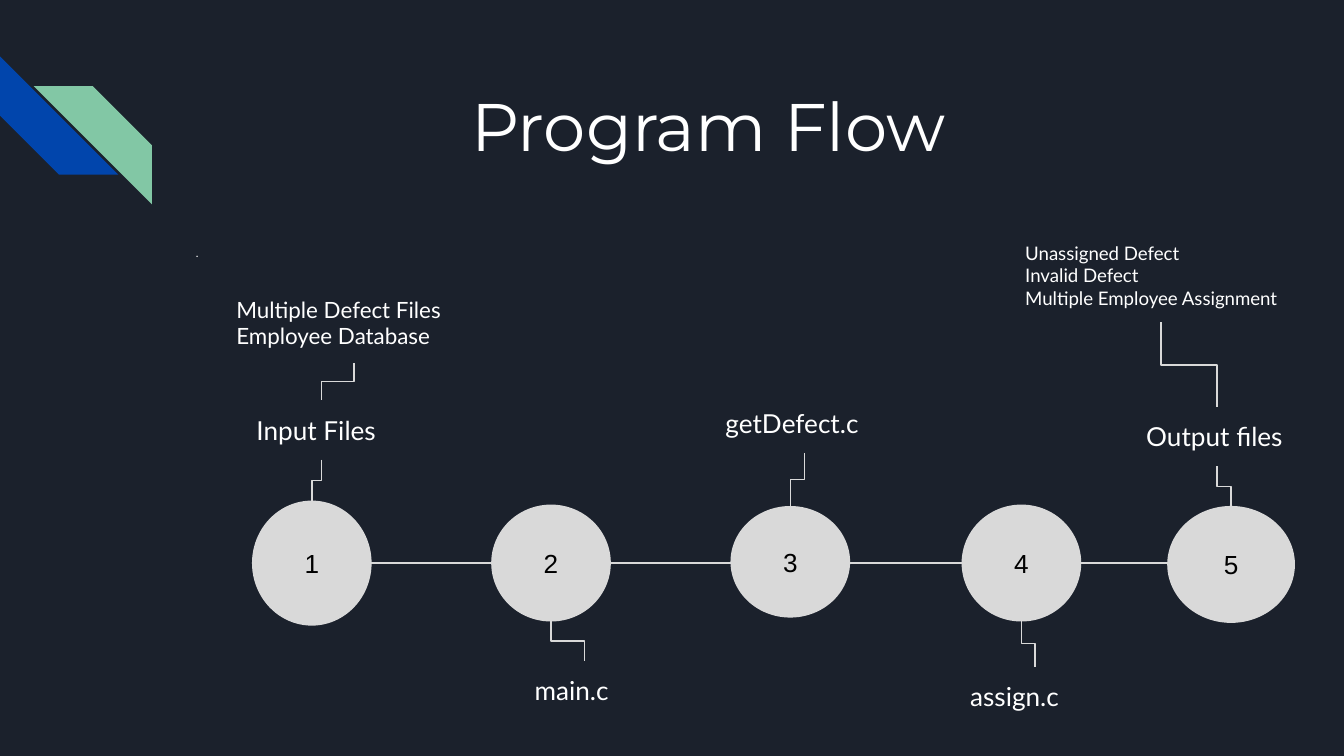
from pptx import Presentation
from pptx.dml.color import RGBColor
from pptx.enum.shapes import MSO_CONNECTOR as Link, MSO_SHAPE as Kind
from pptx.enum.text import MSO_ANCHOR as Anchor, PP_ALIGN as Align
from pptx.oxml.ns import qn
from pptx.util import Inches, Pt
from lxml import etree

NAVY = RGBColor(0x1B, 0x21, 0x2C)
BLUE = RGBColor(0x01, 0x45, 0xAC)
GREEN = RGBColor(0x82, 0xC7, 0xA5)
GREY = RGBColor(0xD9, 0xD9, 0xD9)
WHITE = RGBColor(0xFF, 0xFF, 0xFF)
BLACK = RGBColor(0, 0, 0)

# Steps in order: left, top, width, height
STEPS = [
    (1.88, 3.73, 0.88, 0.92),
    (3.66, 3.76, 0.88, 0.86),
    (5.44, 3.77, 0.88, 0.82),
    (7.16, 3.76, 0.88, 0.86),
    (8.69, 3.77, 0.94, 0.86),
]
AXIS = 4.19

# Step labels: text, left, top, width
LABELS = [
    ("Input Files", 1.81, 2.98, 1.16),
    ("main.c", 3.88, 4.92, 0.94),
    ("getDefect.c", 5.3, 2.93, 1.37),
    ("assign.c", 7.12, 4.96, 1.16),
    ("Output files", 8.43, 3.03, 1.25),
]
LABEL_H = 0.44

# Notes on a step's label: step index, lines, size, box
NOTES = [
    (0, ["Multiple Defect Files", "Employee Database"], 12,
     (1.66, 1.69, 1.95, 1.01)),
    (4, ["Unassigned Defect", "Invalid Defect", "Multiple Employee Assignment"],
     10, (7.53, 1.69, 2.22, 0.71)),
]

# A 16:9 slide
deck = Presentation()
deck.slide_width = Inches(10)
deck.slide_height = Inches(10 * 9 / 16)
slide = deck.slides.add_slide(deck.slide_layouts[6])
slide.background.fill.solid()
slide.background.fill.fore_color.rgb = NAVY
shapes = slide.shapes


def write(shape, text, size, font="Lato", color=WHITE,
          align=Align.LEFT, anchor=Anchor.TOP):
    frame = shape.text_frame
    frame.text = text
    frame.word_wrap = True
    frame.vertical_anchor = anchor
    frame.margin_left = frame.margin_right = Inches(0.1)
    frame.margin_top = frame.margin_bottom = Inches(0.1)
    for para in frame.paragraphs:
        para.alignment = align
        for run in para.runs:
            run.font.size = Pt(size)
            run.font.name = font
            run.font.color.rgb = color


def add_text(box, *args, **style):
    shape = shapes.add_textbox(*map(Inches, box))
    write(shape, *args, **style)
    return shape


def add_shape(kind, box, color):
    shape = shapes.add_shape(kind, *map(Inches, box))
    shape.shadow.inherit = False
    shape.fill.solid()
    shape.fill.fore_color.rgb = color
    shape.line.fill.background()
    return shape


def add_line(*ends):
    line = shapes.add_connector(Link.ELBOW, *map(Inches, ends))
    line.line.color.rgb = GREY
    line.line.width = Pt(0.75)
    etree.SubElement(line._element.spPr, qn("a:effectLst"))
    return line


def add_elbow(x1, y1, x2, y2):
    """Elbow that leaves (x1, y1) downwards and ends at (x2, y2) below."""
    # It is laid out sideways about its centre, then turned a quarter
    mid_x, mid_y = (x1 + x2) / 2, (y1 + y2) / 2
    long, wide = (y2 - y1) / 2, (x2 - x1) / 2
    line = add_line(mid_x - long, mid_y + wide, mid_x + long, mid_y - wide)
    line._element.spPr.xfrm.set("rot", "5400000")


# Corner stripes
stripe = add_shape(Kind.DIAGONAL_STRIPE, (0, 0.42, 0.88, 0.88), BLUE)
stripe.rotation = 270
stripe = add_shape(Kind.DIAGONAL_STRIPE, (0.25, 0.64, 0.88, 0.88), GREEN)
stripe._element.spPr.xfrm.set("flipH", "1")

# Title and body
add_text((1.42, 0.43, 7.7, 1), "Program Flow", 36, font="Montserrat",
         align=Align.CENTER, anchor=Anchor.MIDDLE)
body = add_text((1.36, 1.74, 7.7, 3.18), ".", 6)
body.text_frame.margin_top = Inches(0.14)
body.text_frame.paragraphs[0].line_spacing = 1.15
body.text_frame.paragraphs[0].space_after = Pt(12)

# Numbered steps, each with its label
for num, (step, label) in enumerate(zip(STEPS, LABELS), 1):
    left, top, width, height = step
    disc = add_shape(Kind.OVAL, step, GREY)
    disc.line.color.rgb = GREY
    disc.line.width = Pt(0.75)
    write(disc, str(num), 14, font="Arial", color=BLACK,
          align=Align.CENTER, anchor=Anchor.MIDDLE)

    text, x, y, w = label
    add_text((x, y, w, LABEL_H), text, 14)
    hub, mid = left + width / 2, x + w / 2
    if y < top:
        add_elbow(mid, y + LABEL_H, hub, top)
    else:
        add_elbow(hub, top + height, mid, y)

# Links between steps
for now, after in zip(STEPS, STEPS[1:]):
    add_line(now[0] + now[2], AXIS, after[0], AXIS)

# Notes above the labels
for step, lines, size, box in NOTES:
    add_text(box, "\n".join(lines), size, anchor=Anchor.BOTTOM)
    left, top, width, height = box
    text, x, y, w = LABELS[step]
    add_elbow(left + width / 2, top + height, x + w / 2, y)

deck.save("out.pptx")
